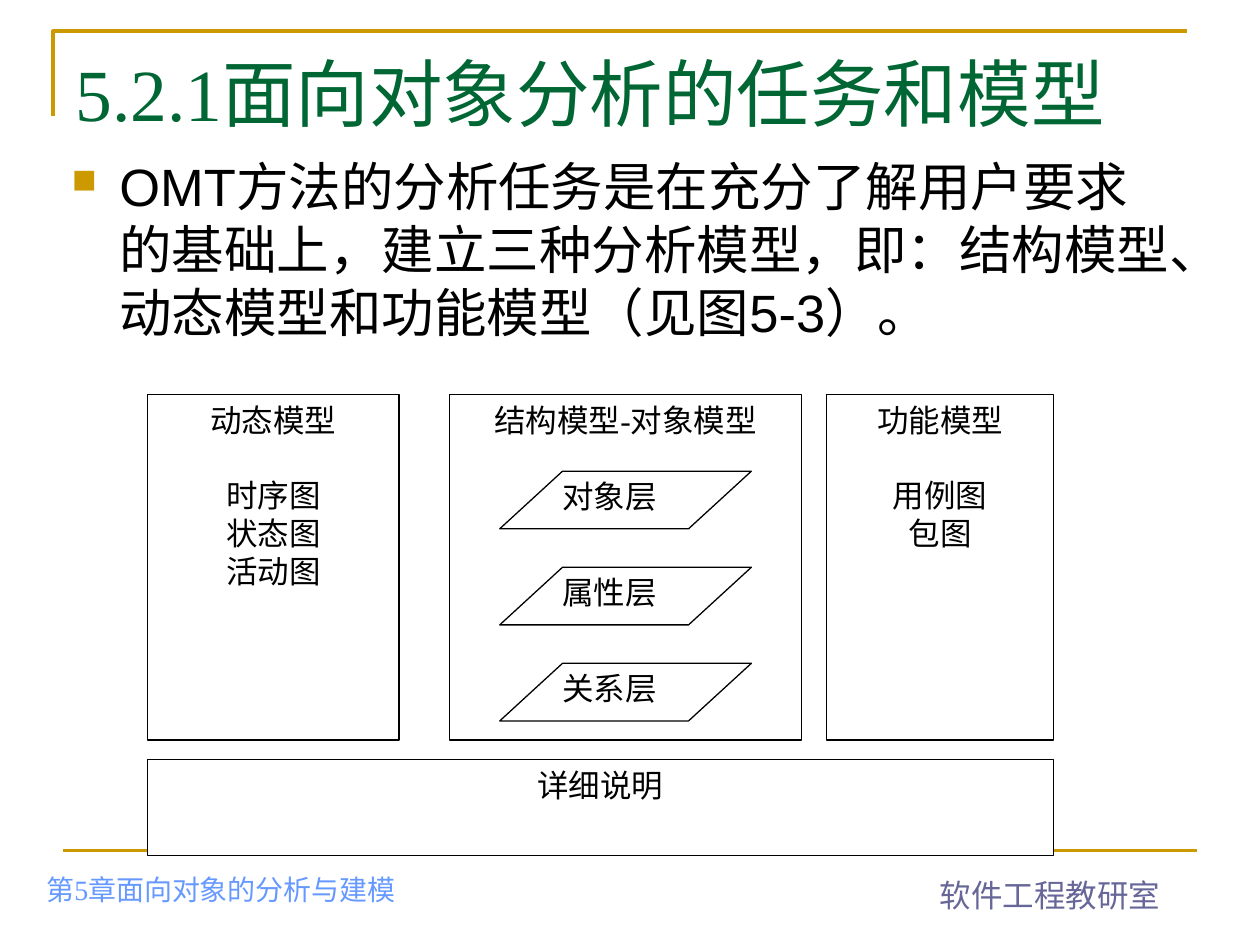
from lxml.etree import SubElement
from pptx import Presentation
from pptx.dml.color import RGBColor
from pptx.enum.shapes import MSO_CONNECTOR as Link, MSO_SHAPE as Shape
from pptx.enum.text import MSO_ANCHOR as Anchor, PP_ALIGN as Align
from pptx.oxml.ns import qn
from pptx.util import Inches, Pt

GOLD = RGBColor(0xCC, 0x99, 0x00)
GREEN = RGBColor(0x00, 0x66, 0x33)
BLUE = RGBColor(0x66, 0x99, 0xFF)
SLATE = RGBColor(0x66, 0x66, 0x99)
BLACK = RGBColor(0, 0, 0)
WHITE = RGBColor(0xFF, 0xFF, 0xFF)
SERIF, SANS = "Times New Roman", "Arial"

WIDE, HIGH = Inches(10), Inches(7.5)
# The diagram's grid, in percent of the slide
LEFT, TOP = 11.7, 41.73
COL, ROW = 71.9 / 36, 48.8 / 24


def share(x, y):
    """Turn percents of the slide's width and height into lengths."""
    return round(WIDE * x / 100), round(HIGH * y / 100)


def cell(col, row, cols, rows):
    """Give left, top, width and height of a span of the diagram's grid."""
    return (*share(LEFT + col * COL, TOP + row * ROW),
            *share(cols * COL, rows * ROW))


def write(frame, text, size, color, font=SERIF, align=Align.LEFT):
    frame.text = text
    for para in frame.paragraphs:
        para.alignment = align
        for run in para.runs:
            run.font.size = Pt(size)
            run.font.name = font
            run.font.color.rgb = color


def add_text(shapes, place, text, size, color, font=SERIF,
             anchor=Anchor.TOP, wrap=True, align=Align.LEFT):
    frame = shapes.add_textbox(*place).text_frame
    frame.word_wrap = wrap
    frame.vertical_anchor = anchor
    write(frame, text, size, color, font, align)
    return frame


def add_bullet(para, mark, indent):
    props = para._p.get_or_add_pPr()
    props.set("marL", str(indent))
    props.set("indent", str(-indent))
    tint = SubElement(props, qn("a:buClr"))
    SubElement(tint, qn("a:srgbClr"), val=str(GOLD))
    SubElement(props, qn("a:buSzPct"), val="65000")
    SubElement(props, qn("a:buChar"), char=mark)


def add_block(shapes, kind, place):
    block = shapes.add_shape(kind, *place)
    block.shadow.inherit = False
    block.fill.solid()
    block.fill.fore_color.rgb = WHITE
    block.line.color.rgb = BLACK
    block.line.width = Pt(0.75)
    return block


def add_panel(shapes, place, title, items=()):
    frame = add_block(shapes, Shape.RECTANGLE, place).text_frame
    frame.word_wrap = True
    frame.vertical_anchor = Anchor.TOP
    write(frame, "\n".join([title, *items]), 18, BLACK, align=Align.CENTER)
    if items:
        frame.paragraphs[1].space_before = Pt(21.6)


def add_layer(shapes, row, text):
    shape = add_block(shapes, Shape.PARALLELOGRAM, cell(14, row, 10, 3))
    shape.adjustments[0] = 1.09
    add_text(shapes, cell(16, row, 6, 3), text, 18, BLACK,
             align=Align.JUSTIFY)


def add_rules(shapes):
    """Draw the corner above the title and the line above the footer."""
    pen = shapes.build_freeform(*share(4.2, 12.27))
    pen.add_line_segments([share(4.2, 3.33), share(94.2, 3.33)], close=False)
    corner = pen.convert_to_shape()
    corner.shadow.inherit = False
    corner.fill.background()
    rule = shapes.add_connector(Link.STRAIGHT, *share(5, 90), *share(95, 90))
    SubElement(rule._element.spPr, qn("a:effectLst"))
    for item in (corner, rule):
        item.line.color.rgb = GOLD
        item.line.width = Pt(2.25)


def add_diagram(shapes):
    add_panel(shapes, cell(0, 0, 10, 18), "动态模型",
              ["时序图", "状态图", "活动图"])
    add_panel(shapes, cell(12, 0, 14, 18), "结构模型-对象模型")
    for i, name in enumerate(["对象层", "属性层", "关系层"]):
        add_layer(shapes, 4 + 5 * i, name)
    add_panel(shapes, cell(27, 0, 9, 18), "功能模型", ["用例图", "包图"])
    add_panel(shapes, cell(0, 19, 36, 5), "详细说明")


def main():
    deck = Presentation()
    deck.slide_width, deck.slide_height = WIDE, HIGH
    shapes = deck.slides.add_slide(deck.slide_layouts[6]).shapes
    add_rules(shapes)
    add_text(shapes, share(73.6, 92) + share(19.5, 5.33), "软件工程教研室",
             18, SLATE, SANS, wrap=False)
    add_text(shapes, share(5, 4) + share(90, 11.6),
             "5.2.1面向对象分析的任务和模型", 42, GREEN, anchor=Anchor.MIDDLE)
    body = add_text(
        shapes, share(4.7, 15.6) + share(90, 23.6),
        "OMT方法的分析任务是在充分了解用户要求的基础上，建立三种分析模型，"
        "即：结构模型、动态模型和功能模型（见图5-3）。", 30, BLACK, SANS)
    add_bullet(body.paragraphs[0], "■", Inches(0.38))
    add_text(shapes, share(2.7, 89.87) + share(31.5, 6.67),
             "第5章面向对象的分析与建模", 16, BLUE, anchor=Anchor.BOTTOM)
    add_diagram(shapes.add_group_shape().shapes)
    deck.save("out.pptx")


if __name__ == "__main__":
    main()
